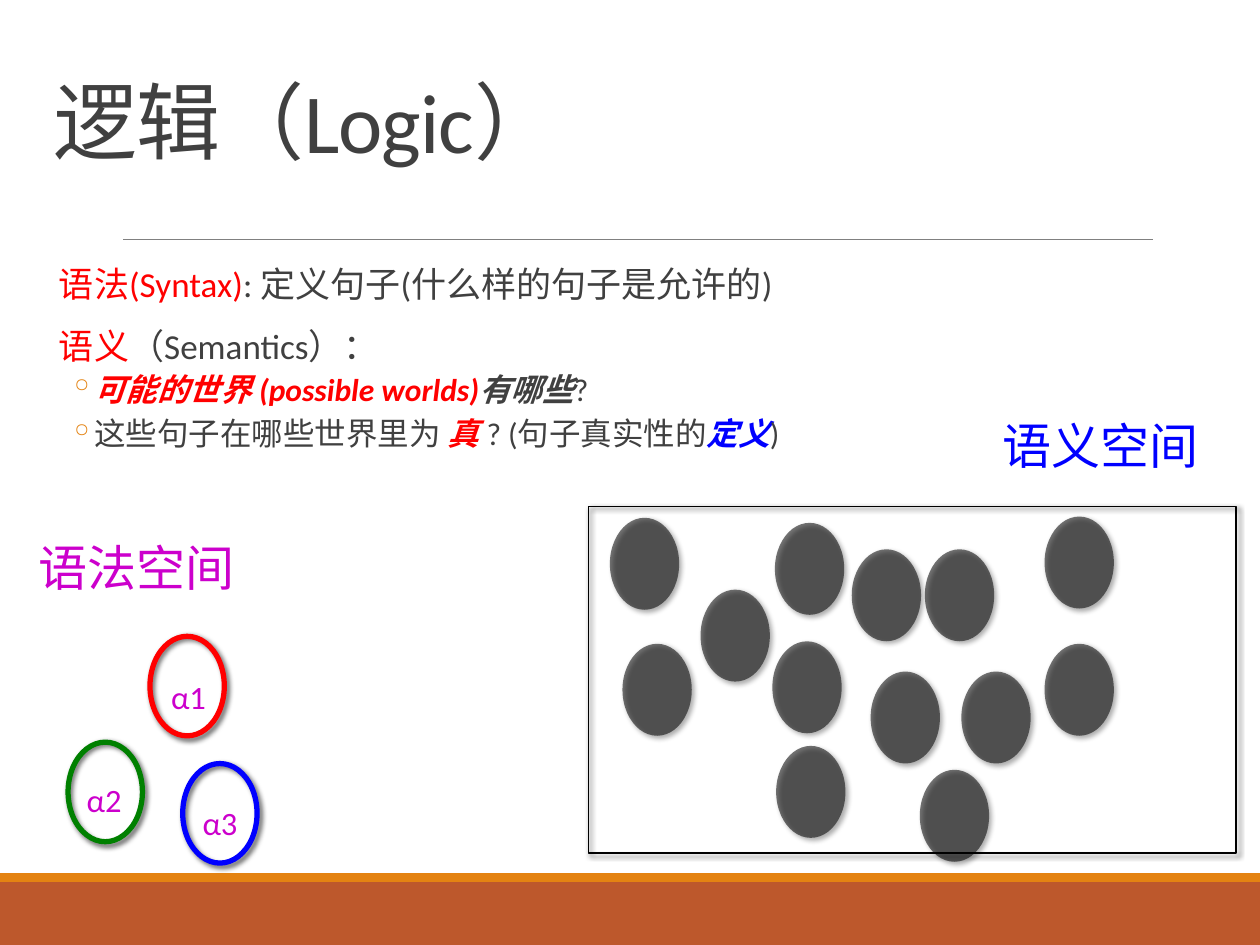
from lxml.etree import SubElement
from pptx import Presentation
from pptx.dml.color import RGBColor
from pptx.enum.shapes import MSO_CONNECTOR, MSO_SHAPE
from pptx.enum.text import MSO_ANCHOR, MSO_AUTO_SIZE
from pptx.oxml.ns import qn
from pptx.util import Inches, Pt

FONT = "Calibri"
GRAY, RED, BLUE = "404040", "FF0000", "0000FF"
GREEN, MAGENTA, ORANGE, RUST = "008000", "CC00CC", "E48312", "BD582C"

TITLE = "逻辑（Logic）"
BODY = [
    (0, [("语法(Syntax)", RED, False), (": 定义句子(什么样的句子是允许的)", GRAY, False)]),
    (0, [("语义", RED, False), ("（Semantics）：", GRAY, False)]),
    (1, [("可能的世界 (possible worlds)", RED, True), ("有哪些", GRAY, True), ("?", GRAY, False)]),
    (1, [("这些句子在哪些世界里为 ", GRAY, False), ("真", RED, True),
         (" ? (句子真实性的", GRAY, False), ("定义", BLUE, True), (")", GRAY, False)]),
]
LEVELS = [
    {"size": 20, "margin": 0.1, "hang": 0.1, "before": 12, "after": 2, "bullet": " "},
    {"size": 18, "margin": 0.42, "hang": 0.2, "before": 2, "after": 4, "bullet": "◦"},
]
SPACE_LABELS = [("语法空间", 0.21, 4.22, MAGENTA), ("语义空间", 7.86, 3.25, BLUE)]
SENTENCES = [
    ("α1", (1.26, 5.03), (1.19, 5.05), RED),
    ("α2", (0.59, 5.84), (0.54, 5.89), GREEN),
    ("α3", (1.51, 6.03), (1.45, 6.06), BLUE),
]
WORLDS = [
    (4.94, 5.11), (6.16, 5.92), (5.56, 4.68), (4.84, 4.11), (7.3, 6.11),
    (8.29, 5.11), (7.63, 5.33), (6.91, 5.33), (6.13, 5.09), (7.34, 4.36),
    (6.76, 4.36), (6.15, 4.15), (8.29, 4.1),
]

prs = Presentation()
prs.slide_width, prs.slide_height = Inches(10), Inches(7.5)
slide = prs.slides.add_slide(prs.slide_layouts[6])


def rgb(value):
    return RGBColor.from_string(value)


def style(font, size, color=None):
    font.name, font.size = FONT, Pt(size)
    if color:
        font.color.rgb = rgb(color)


def add_shadow(shape):
    effects = SubElement(shape._element.spPr, qn("a:effectLst"))
    outer = SubElement(effects, qn("a:outerShdw"), blurRad=str(Pt(3)),
                       dist=str(Pt(2)), dir=str(45 * 60000), algn="ctr", rotWithShape="0")
    black = SubElement(outer, qn("a:srgbClr"), val="000000")
    SubElement(black, qn("a:alpha"), val="60000")


def add_figure(preset, left, top, width, height, fill=None, alpha=None,
               line=None, weight=1, shadow=True):
    shape = slide.shapes.add_shape(preset, *map(Inches, (left, top, width, height)))
    if fill:
        shape.fill.solid()
        shape.fill.fore_color.rgb = rgb(fill)
    else:
        shape.fill.background()
    if alpha:
        color = shape._element.spPr.find(qn("a:solidFill")).find(qn("a:srgbClr"))
        SubElement(color, qn("a:alpha"), val=str(alpha * 1000))
    if line:
        shape.line.color.rgb = rgb(line)
        shape.line.width = Pt(weight)
    else:
        shape.line.fill.background()
    if shadow:
        add_shadow(shape)
    else:
        shape.shadow.inherit = False


def add_frame(left, top, width, height, wrap=True):
    frame = slide.shapes.add_textbox(*map(Inches, (left, top, width, height))).text_frame
    frame.word_wrap = wrap
    return frame


def add_label(text, left, top, width, height, size, color):
    frame = add_frame(left, top, width, height, wrap=False)
    frame.auto_size = MSO_AUTO_SIZE.SHAPE_TO_FIT_TEXT
    paragraph = frame.paragraphs[0]
    run = paragraph.add_run()
    run.text = text
    style(paragraph.font, size, color)
    return run


def add_bullet(paragraph, level):
    props = paragraph._p.get_or_add_pPr()
    props.set("marL", str(Inches(level["margin"])))
    props.set("indent", str(-Inches(level["hang"])))
    SubElement(SubElement(props, qn("a:buClr")), qn("a:srgbClr"), val=ORANGE)
    SubElement(props, qn("a:buChar"), char=level["bullet"])


add_figure(MSO_SHAPE.RECTANGLE, 0, 7, 10, 0.5, fill=RUST, shadow=False)
add_figure(MSO_SHAPE.RECTANGLE, 0, 6.93, 10, 0.07, fill=ORANGE, shadow=False)
rule = slide.shapes.add_connector(
    MSO_CONNECTOR.STRAIGHT, *map(Inches, (0.98, 1.9, 9.15, 1.9)))
rule.line.color.rgb = rgb("808080")
rule.line.width = Pt(0.5)
SubElement(rule._element.spPr, qn("a:effectLst"))

title_frame = add_frame(0.33, 0.32, 9, 1.08)
title_frame.vertical_anchor = MSO_ANCHOR.BOTTOM
title = title_frame.paragraphs[0]
title.line_spacing = 0.85
title_run = title.add_run()
title_run.text = TITLE
title_run._r.get_or_add_rPr().set("spc", "-50")
style(title.font, 48, GRAY)

body = add_frame(0.33, 2.07, 9.33, 2.12)
body.margin_left = body.margin_right = 0
for index, (depth, parts) in enumerate(BODY):
    level = LEVELS[depth]
    paragraph = body.add_paragraph() if index else body.paragraphs[0]
    paragraph.level = depth
    add_bullet(paragraph, level)
    paragraph.line_spacing = 0.9
    paragraph.space_before = Pt(level["before"] if index else 0)
    paragraph.space_after = Pt(level["after"])
    style(paragraph.font, level["size"])
    for text, color, strong in parts:
        run = paragraph.add_run()
        run.text = text
        run.font.color.rgb = rgb(color)
        if strong:
            run.font.bold = run.font.italic = True

for text, left, top, color in SPACE_LABELS:
    add_label(text, left, top, 1.81, 0.57, 28, color)
add_figure(MSO_SHAPE.RECTANGLE, 4.67, 4.02, 5.14, 2.75, line="000000")
for text, label_at, ring_at, color in SENTENCES:
    subscript = add_label(text, *label_at, 0.54, 0.46, 32, MAGENTA)
    subscript._r.get_or_add_rPr().set("baseline", "-25000")
    add_figure(MSO_SHAPE.OVAL, *ring_at, 0.59, 0.79, line=color, weight=3)
for left, top in WORLDS:
    add_figure(MSO_SHAPE.OVAL, left, top, 0.55, 0.73, fill="000000", alpha=54)

prs.save("out.pptx")
